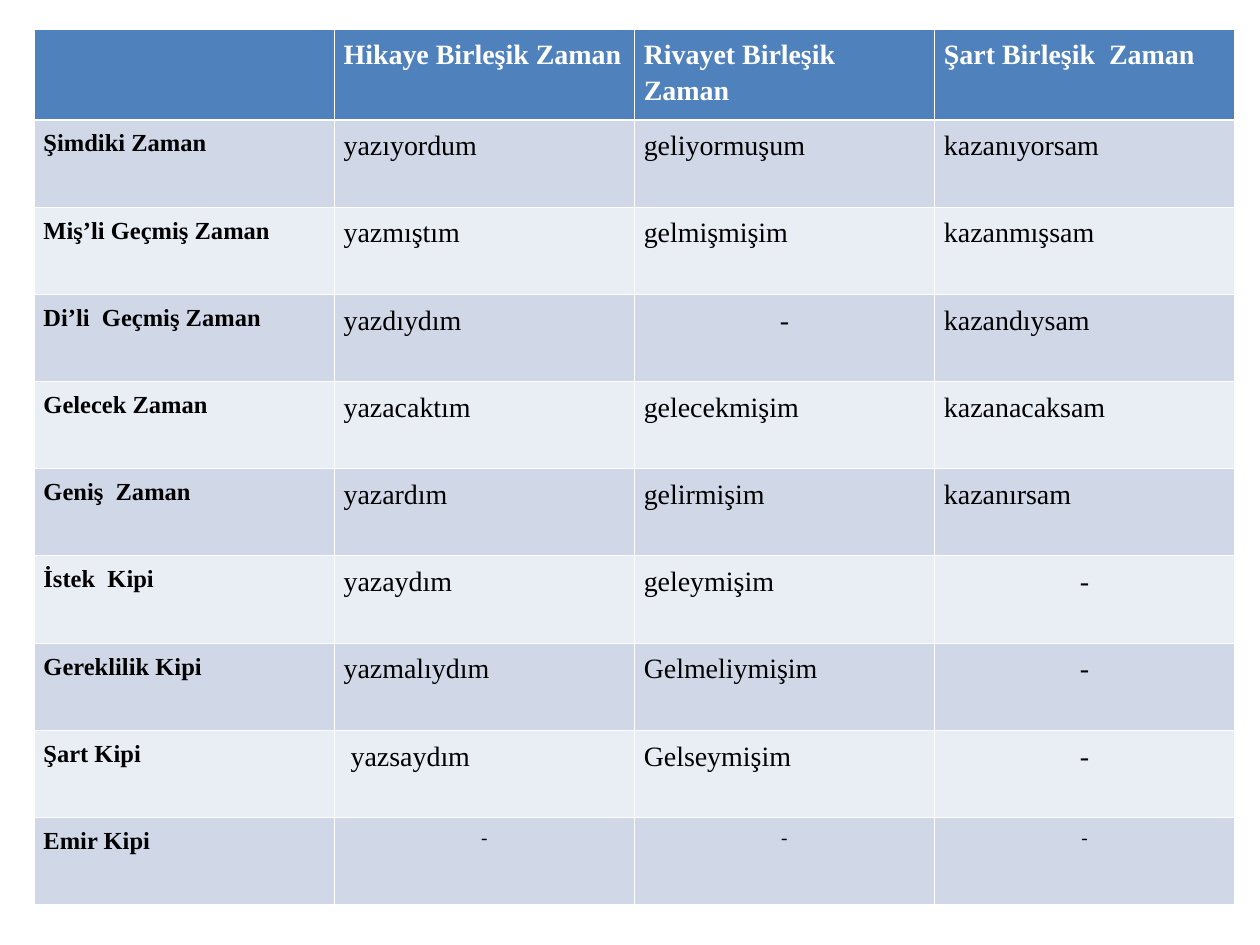
"""Builds a slide with a table of Turkish compound verb tenses."""
from lxml.etree import SubElement
from pptx import Presentation
from pptx.dml.color import RGBColor
from pptx.enum.text import PP_ALIGN
from pptx.oxml.ns import qn
from pptx.util import Inches, Pt

COLORS = {
    "header": "4F81BD",
    "odd": "D0D8E8",
    "even": "E9EDF4",
    "white": "FFFFFF",
    "black": "000000",
}
FONT = "Times New Roman"
TENSES = [
    ("", "Hikaye Birleşik Zaman", "Rivayet Birleşik Zaman", "Şart Birleşik  Zaman"),
    ("Şimdiki Zaman", "yazıyordum", "geliyormuşum", "kazanıyorsam"),
    ("Miş’li Geçmiş Zaman", "yazmıştım", "gelmişmişim", "kazanmışsam"),
    ("Di’li  Geçmiş Zaman", "yazdıydım", "-", "kazandıysam"),
    ("Gelecek Zaman", "yazacaktım", "gelecekmişim", "kazanacaksam"),
    ("Geniş  Zaman", "yazardım", "gelirmişim", "kazanırsam"),
    ("İstek  Kipi", "yazaydım", "geleymişim", "-"),
    ("Gereklilik Kipi", "yazmalıydım", "Gelmeliymişim", "-"),
    ("Şart Kipi", " yazsaydım", "Gelseymişim", "-"),
    ("Emir Kipi", "-", "-", "-"),
]
LAST = len(TENSES) - 1


def write_text(cell, text, *, size, color, bold=False, align=PP_ALIGN.LEFT):
    cell.margin_left = cell.margin_right = Pt(5.4)
    cell.margin_top = cell.margin_bottom = Inches(0.05)
    para = cell.text_frame.paragraphs[0]
    para.alignment = align
    para.line_spacing = 1.15
    if text:
        span = para.add_run()
        span.text = text
        span.font.name = FONT
        span.font.size = Pt(size)
        span.font.bold = bold
        span.font.color.rgb = RGBColor.from_string(COLORS[color])


def draw_borders(cell, **widths):
    properties = cell._tc.get_or_add_tcPr()
    for side in "LRTB":
        line = SubElement(properties, qn(f"a:ln{side}"), w=str(Pt(widths.get(side, 0.45))))
        fill = SubElement(line, qn("a:solidFill"))
        SubElement(fill, qn("a:srgbClr"), val=COLORS["white"])


deck = Presentation()
deck.slide_width, deck.slide_height = Inches(10), Inches(7.5)
page = deck.slides.add_slide(deck.slide_layouts[6])

column_width = Inches(9.53) // len(TENSES[0])
header_height, row_height = Inches(0.72), Inches(6.23) // LAST
frame = page.shapes.add_table(
    len(TENSES), len(TENSES[0]), Inches(0.27), Inches(0.23),
    column_width * len(TENSES[0]), header_height + row_height * LAST,
)
table = frame.table
for column in table.columns:
    column.width = column_width

for row_index, words in enumerate(TENSES):
    is_header = row_index == 0
    table.rows[row_index].height = header_height if is_header else row_height
    band = "header" if is_header else ("even", "odd")[row_index % 2]
    edges = {0: {"B": 1.47}, 1: {"T": 1.47}}.get(row_index, {})
    for column_index, word in enumerate(words):
        cell = table.cell(row_index, column_index)
        is_label = column_index == 0
        draw_borders(cell, **edges)
        cell.fill.solid()
        cell.fill.fore_color.rgb = RGBColor.from_string(COLORS[band])
        write_text(
            cell, word,
            size=14 if is_label else 11 if row_index == LAST else 16,
            color="white" if is_header else "black",
            bold=is_header or is_label,
            align=PP_ALIGN.CENTER if word == "-" else PP_ALIGN.LEFT,
        )

deck.save("out.pptx")
